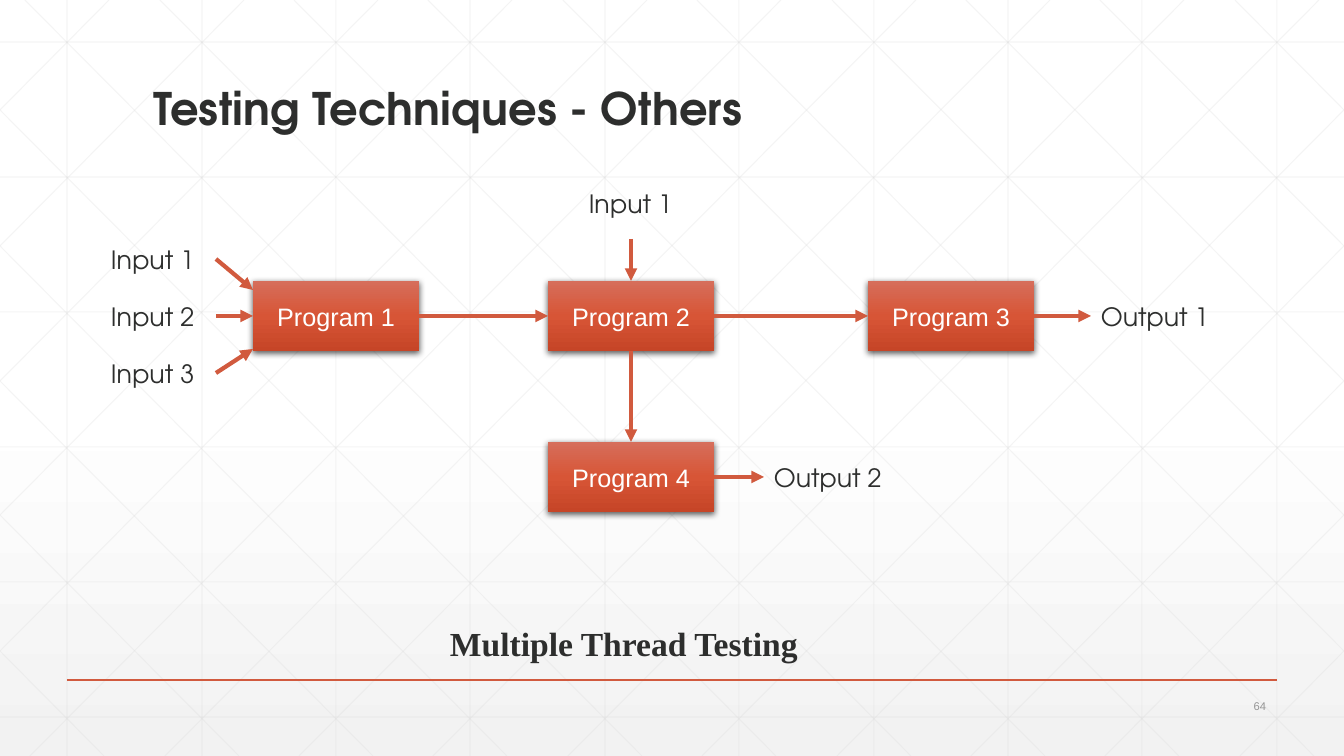
from lxml import etree
from pptx import Presentation
from pptx.dml.color import RGBColor
from pptx.enum.shapes import MSO_CONNECTOR, MSO_SHAPE
from pptx.enum.text import MSO_ANCHOR, PP_ALIGN
from pptx.oxml.ns import qn
from pptx.util import Emu, Pt

STRAIGHT, RECT = MSO_CONNECTOR.STRAIGHT, MSO_SHAPE.RECTANGLE
LEFT, CENTER, RIGHT = PP_ALIGN.LEFT, PP_ALIGN.CENTER, PP_ALIGN.RIGHT
TOP, MIDDLE, BOTTOM = MSO_ANCHOR.TOP, MSO_ANCHOR.MIDDLE, MSO_ANCHOR.BOTTOM
SIDE_TOP, SIDE_LEFT, SIDE_BOTTOM, SIDE_RIGHT = range(4)
WIDTH, HEIGHT = 1344, 756
SANS, ARIAL, SERIF = "TeX Gyre Adventor", "Arial", "Times New Roman"
COLORS = {
    "text": "2D2E2D", "accent": "D15A3E", "grid": "D8D8D8", "number": "959595",
    "white": "FFFFFF", "shade": "F2F2F2", "shadow": "000000",
    "box_top": "D66E5B", "box_mid": "D75536", "box_end": "C64527",
}


def px(n):
    return Emu(round(n * 914400 / 100.8))


def rgb(name):
    return RGBColor.from_string(COLORS[name])


def add_xml(parent, tag, **attrs):
    return etree.SubElement(parent, qn(tag), attrs)


class Deck:
    """Holds the style and the current slide."""

    def __init__(self):
        self.prs = Presentation()
        self.prs.slide_width, self.prs.slide_height = px(WIDTH), px(HEIGHT)
        self.s = self.prs.slides.add_slide(self.prs.slide_layouts[5])
        self.shapes = self.s.shapes

    def gradient(self, fill, owner, stops):
        fill.gradient()
        fill.gradient_angle = 270
        gs_list = next(owner.iter(qn("a:gsLst")))
        for gs in list(gs_list):
            gs_list.remove(gs)
        for pos, name in stops:
            gs = add_xml(gs_list, "a:gs", pos=str(pos * 1000))
            add_xml(gs, "a:srgbClr", val=COLORS[name])

    def background(self, stops):
        self.gradient(self.s.background.fill, self.s.element, stops)

    def add_text(self, sp, text, size, font=SANS, color="text", bold=False,
                 align=LEFT, anchor=TOP):
        tf = sp.text_frame
        tf.word_wrap, tf.vertical_anchor = True, anchor
        p = tf.paragraphs[0]
        p.alignment = align
        r = p.add_run()
        r.text = text
        r.font.name, r.font.size, r.font.bold = font, Pt(size), bold
        r.font.color.rgb = rgb(color)
        return p

    def title(self, text, x, y, w, h):
        sp = self.shapes.title
        sp.left, sp.top, sp.width, sp.height = map(px, (x, y, w, h))
        p = self.add_text(sp, text, 32, bold=True, anchor=BOTTOM)
        p.line_spacing = 0.9
        # Bring the title in front of the grid
        sp.element.getparent().append(sp.element)

    def label(self, text, x, y, w, h=40, size=18, **style):
        sp = self.shapes.add_textbox(*map(px, (x, y, w, h)))
        self.add_text(sp, text, size, **style)
        return sp

    def box(self, text, x, y, w=166, h=70):
        sp = self.shapes.add_shape(RECT, *map(px, (x, y, w, h)))
        self.gradient(sp.fill, sp.element,
                      [(0, "box_top"), (50, "box_mid"), (100, "box_end")])
        sp.line.fill.background()
        sp.shadow.inherit = False
        effects = next(sp.element.iter(qn("a:effectLst")))
        shadow = add_xml(effects, "a:outerShdw", blurRad=str(Pt(4.5)),
                         dist=str(Pt(1.5)), dir="5400000", rotWithShape="0")
        shade = add_xml(shadow, "a:srgbClr", val=COLORS["shadow"])
        add_xml(shade, "a:alpha", val="63000")
        self.add_text(sp, text, 18, ARIAL, "white", align=CENTER, anchor=MIDDLE)
        return sp

    def line(self, x1, y1, x2, y2, color="accent", width=1, alpha=None):
        c = self.shapes.add_connector(STRAIGHT, *map(px, (x1, y1, x2, y2)))
        c.line.color.rgb, c.line.width = rgb(color), Pt(width)
        if alpha:
            paint = next(c.element.spPr.iter(qn("a:srgbClr")))
            add_xml(paint, "a:alpha", val=str(alpha * 1000))
        add_xml(c.element.spPr, "a:effectLst")
        return c

    def arrow(self, start, end):
        """Each end is (shape, side) to join, or a free (x, y) point."""
        joins = [not isinstance(e[0], int) for e in (start, end)]
        points = [(0, 0) if j else e for j, e in zip(joins, (start, end))]
        c = self.line(*points[0], *points[1], width=3)
        if joins[0]:
            c.begin_connect(*start)
        if joins[1]:
            c.end_connect(*end)
        add_xml(c.element.spPr.find(qn("a:ln")), "a:tailEnd", type="triangle")


def draw_grid(deck):
    def grid_line(*ends):
        deck.line(*ends, color="grid", width=0.75, alpha=25)

    for i in range(10):
        x = round(67.2 + 134.4 * i)
        grid_line(x, 0, x, HEIGHT)
    for y in range(42, HEIGHT, 135):
        grid_line(0, y, WIDTH, y)
    # Diagonals, cut at the slide edges and mirrored
    run = 751
    for i in range(-5, 10):
        x = round(25.2 + 134.4 * i)
        x1, x2 = max(x, 0), min(x + run, WIDTH)
        y1, y2 = (round((edge - x) * HEIGHT / run) for edge in (x1, x2))
        grid_line(x1, y1, x2, y2)
        grid_line(WIDTH - x1, y1, WIDTH - x2, y2)


def main():
    deck = Deck()

    # Backdrop
    deck.background([(0, "white"), (53, "white"), (100, "shade")])
    draw_grid(deck)
    deck.line(67, 680, 1277, 680)

    # Title and slide number
    deck.title("Testing Techniques - Others", 143, 55, 1058, 85)
    deck.label("64", 1175, 694, 101, 24, size=8, font=ARIAL, color="number",
               align=RIGHT, anchor=MIDDLE)

    # Programs
    places = [(253, 281), (548, 281), (868, 281), (548, 442)]
    prog1, prog2, prog3, prog4 = [
        deck.box(f"Program {n}", x, y) for n, (x, y) in enumerate(places, 1)]

    # Inputs
    targets = [(253, 290), (prog1, SIDE_LEFT), (253, 349)]
    for n, target in enumerate(targets, 1):
        source = deck.label(f"Input {n}", 101, 182 + 57 * n, 115)
        deck.arrow((source, SIDE_RIGHT), target)
    deck.label("Input 1", 573, 183, 115, align=CENTER)
    deck.arrow((631, 239), (prog2, SIDE_TOP))

    # Outputs
    output1 = deck.label("Output 1", 1091, 296, 153)
    output2 = deck.label("Output 2", 764, 457, 162)

    # Flow between programs and outputs
    for left, right in [(prog1, prog2), (prog2, prog3),
                        (prog3, output1), (prog4, output2)]:
        deck.arrow((left, SIDE_RIGHT), (right, SIDE_LEFT))
    deck.arrow((prog2, SIDE_BOTTOM), (prog4, SIDE_TOP))

    # Caption
    deck.label("Multiple Thread Testing", 440, 618, 380, 50, size=24,
               font=SERIF, bold=True)

    deck.prs.save("out.pptx")


if __name__ == "__main__":
    main()
